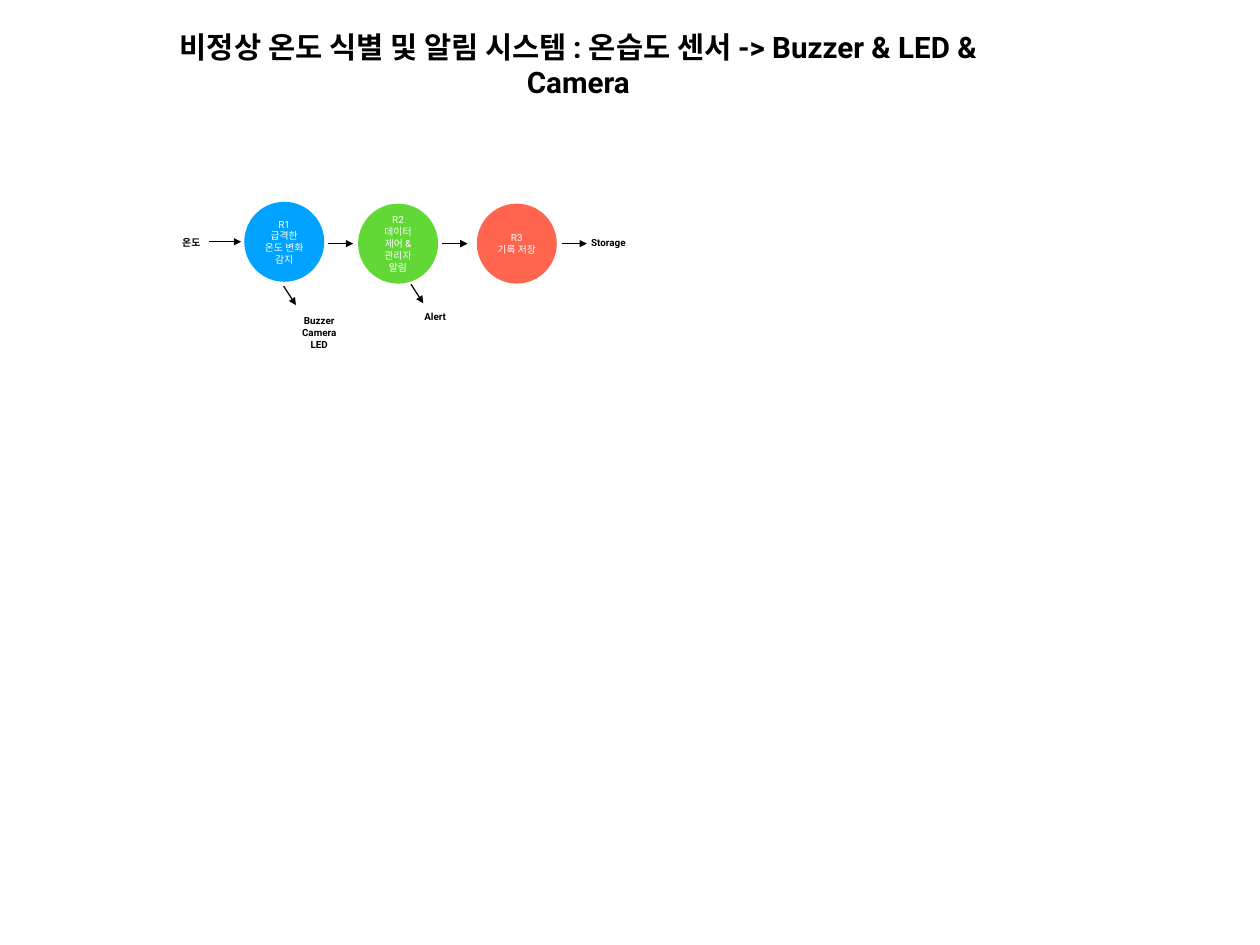
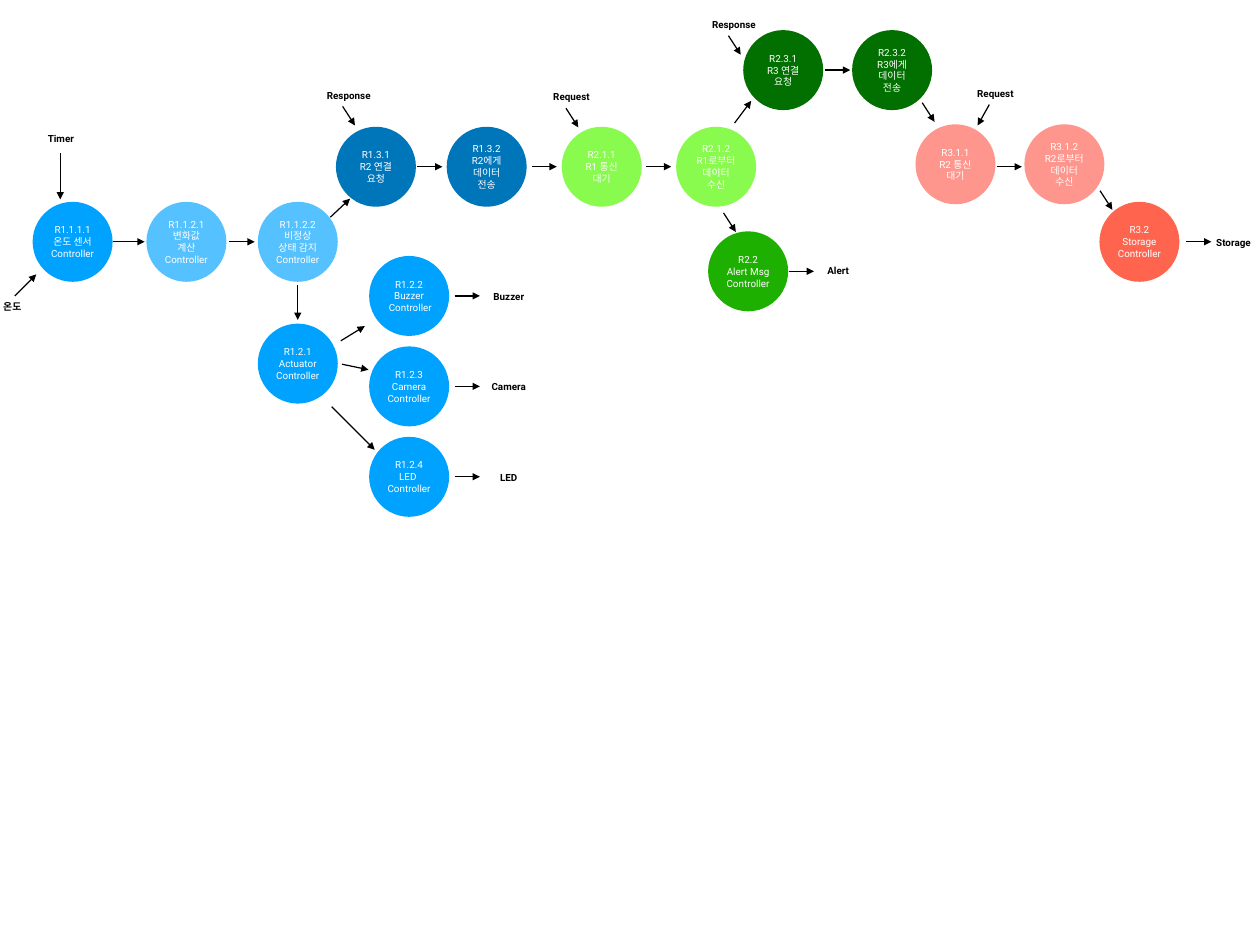
import pptx
import pptx.dml.color
import pptx.enum.shapes
import pptx.enum.text
import pptx.oxml
import pptx.oxml.ns
import pptx.util

Pt = pptx.util.Pt
RGBColor = pptx.dml.color.RGBColor
AutoSize = pptx.enum.text.MSO_AUTO_SIZE

BLACK = RGBColor(0x00, 0x00, 0x00)
WHITE = RGBColor(0xFF, 0xFF, 0xFF)
BLUE = RGBColor(0x00, 0xA2, 0xFF)
LIGHT_BLUE = RGBColor(0x56, 0xC1, 0xFF)
DARK_BLUE = RGBColor(0x00, 0x76, 0xBA)
GREEN = RGBColor(0x61, 0xD8, 0x36)
LIGHT_GREEN = RGBColor(0x89, 0xFA, 0x4E)
MID_GREEN = RGBColor(0x1E, 0xB0, 0x01)
DARK_GREEN = RGBColor(0x02, 0x70, 0x01)
RED = RGBColor(0xFF, 0x64, 0x4E)
PINK = RGBColor(0xFF, 0x96, 0x8D)

ACROSS = (20.5, 0)
DOWN = (10, 15.5)


class DiagramDeck:
    font = "Roboto"
    text_size = 8
    title_size = 24
    inset = 4
    diameter = 65
    line_height = 9.5
    title_layout = 5
    blank_layout = 6

    def __init__(self, width, height):
        self.deck = pptx.Presentation()
        self.deck.slide_width = Pt(width)
        self.deck.slide_height = Pt(height)
        self.page = None

    def add_page(self, layout):
        self.page = self.deck.slides.add_slide(self.deck.slide_layouts[layout])

    def set_text(self, box, text, size, color, bold, wrap, auto_size):
        frame = box.text_frame
        frame.text = text
        frame.word_wrap = wrap
        frame.auto_size = auto_size
        frame.vertical_anchor = pptx.enum.text.MSO_ANCHOR.MIDDLE
        frame.margin_left = frame.margin_right = Pt(self.inset)
        frame.margin_top = frame.margin_bottom = Pt(self.inset)
        for para in frame.paragraphs:
            para.alignment = pptx.enum.text.PP_ALIGN.CENTER
            for span in para.runs:
                span.font.name = self.font
                span.font.size = Pt(size)
                span.font.bold = bold
                span.font.color.rgb = color

    def title(self, text, left, top, width, height):
        box = self.page.shapes.title
        box.left, box.top = Pt(left), Pt(top)
        box.width, box.height = Pt(width), Pt(height)
        self.set_text(box, text, self.title_size, BLACK, True, True, AutoSize.NONE)

    def circle(self, text, left, top, color):
        box = self.page.shapes.add_shape(
            pptx.enum.shapes.MSO_SHAPE.OVAL,
            Pt(left), Pt(top), Pt(self.diameter), Pt(self.diameter))
        box.shadow.inherit = False
        box.fill.solid()
        box.fill.fore_color.rgb = color
        box.line.fill.background()
        self.set_text(box, text, self.text_size, WHITE, False, True, AutoSize.NONE)

    def label(self, text, left, top, width):
        height = 2 * self.inset + self.line_height * (text.count("\n") + 1)
        box = self.page.shapes.add_textbox(Pt(left), Pt(top), Pt(width), Pt(height))
        self.set_text(box, text, self.text_size, BLACK, True, False,
                      AutoSize.SHAPE_TO_FIT_TEXT)

    def arrow(self, left, top, reach=ACROSS):
        across, down = reach
        line = self.page.shapes.add_connector(
            pptx.enum.shapes.MSO_CONNECTOR.STRAIGHT,
            Pt(left), Pt(top), Pt(left + across), Pt(top + down))
        line.line.color.rgb = BLACK
        line.line.width = Pt(1)
        properties = line._element.spPr
        head = pptx.oxml.parse_xml(
            '<a:tailEnd %s type="triangle"/>' % pptx.oxml.ns.nsdecls("a"))
        properties.find(pptx.oxml.ns.qn("a:ln")).append(head)
        properties.append(pptx.oxml.parse_xml(
            "<a:effectLst %s/>" % pptx.oxml.ns.nsdecls("a")))

    def draw(self, circles, arrows, labels):
        for circle in circles:
            self.circle(*circle)
        for arrow in arrows:
            self.arrow(*arrow)
        for label in labels:
            self.label(*label)


def build_overview(diagram):
    diagram.add_page(diagram.title_layout)
    diagram.title("비정상 온도 식별 및 알림 시스템 : 온습도 센서 -> Buzzer & LED & Camera",
                  125, 16, 690, 72)
    diagram.draw(
        circles=[
            ("R1\n급격한 온도 변화 감지", 198.5, 164, BLUE),
            ("R2\n데이터 제어 &\v관리자 알림", 291, 165.5, GREEN),
            ("R3\n기록 저장", 387.5, 165.5, RED),
        ],
        arrows=[
            (170, 196.5, (26, 0)),
            (266.5, 198),
            (359.5, 198),
            (456.5, 198),
            (230.5, 232.5, DOWN),
            (334, 231, DOWN),
        ],
        labels=[
            ("온도", 144, 188, 23),
            ("Buzzer\nCamera\nLED", 239, 252, 41),
            ("Alert", 340, 248.5, 27.5),
            ("Storage", 475, 188.5, 39),
        ])


def build_detail(diagram):
    diagram.add_page(diagram.blank_layout)
    diagram.draw(
        circles=[
            ("R1.1.1.1\n온도 센서\nController", 26.5, 164, BLUE),
            ("R1.1.2.1\n변화값 계산\nController", 119, 164, LIGHT_BLUE),
            ("R1.1.2.2\n비정상 상태 감지\nController", 209.5, 164, LIGHT_BLUE),
            ("R1.2.1\nActuator Controller", 209.5, 263, BLUE),
            ("R1.3.1\nR2 연결 요청", 273, 103, DARK_BLUE),
            ("R1.3.2\nR2에게 데이터 전송", 363, 103, DARK_BLUE),
            ("R2.1.1\nR1 통신 대기", 456.5, 103, LIGHT_GREEN),
            ("R2.1.2\nR1로부터\n데이터 수신", 549.5, 103, LIGHT_GREEN),
            ("R2.2\nAlert Msg Controller", 575.5, 188, MID_GREEN),
            ("R2.3.1\nR3 연결 요청", 604, 24.5, DARK_GREEN),
            ("R2.3.2\nR3에게 데이터 전송", 692.5, 24.5, DARK_GREEN),
            ("R3.1.1\nR2 통신 대기", 744, 101, PINK),
            ("R3.1.2\nR2로부터\n데이터 수신", 832.5, 101, PINK),
            ("R3.2\nStorage Controller", 893.5, 164, RED),
        ],
        arrows=[
            (12, 240.5, (17.5, -17.5)),
            (49, 124.5, (0, 37.5)),
            (92, 196.5, (25.5, 0)),
            (186.5, 196.5),
            (242, 232, (0, 28)),
            (268.5, 176.5, (16, -15)),
            (277, 277, (19.5, -12)),
            (278, 296, (21.5, 4.5)),
            (269.5, 330.5, (35, 35)),
            (278.5, 86.5, DOWN),
            (339, 135.5),
            (432, 135.5),
            (460, 88, DOWN),
            (525, 135.5),
            (588, 173, DOWN),
            (641, 220.5),
            (597, 100, (13.5, -18)),
            (592, 29, DOWN),
            (670.5, 57),
            (749.5, 83.5, DOWN),
            (804, 85, (-9.5, 17)),
            (810, 135.5),
            (894, 155, DOWN),
            (964, 196.5),
        ],
        labels=[
            ("온도", -1.5, 240.5, 23),
            ("Timer", 34, 103.5, 31),
            ("Response", 260, 68.5, 47),
            ("Request", 444, 70, 41),
            ("Response", 573, 11, 47),
            ("Request", 788.5, 67, 41),
            ("Alert", 667.5, 211.5, 27.5),
            ("Storage", 983, 188, 39),
        ])
    actuators = [
        ("Buzzer", "R1.2.2\nBuzzer\n Controller", 35),
        ("Camera", "R1.2.3\nCamera Controller", 39),
        ("LED", "R1.2.4\nLED \nController", 25),
    ]
    for row, (device, controller, width) in enumerate(actuators):
        top = 208 + 73.5 * row
        diagram.circle(controller, 300, top, BLUE)
        diagram.arrow(369.5, top + 32.5)
        diagram.label(device, 413.5 - width / 2, top + 24, width)


diagram = DiagramDeck(1024, 768)
build_overview(diagram)
build_detail(diagram)
diagram.deck.save("out.pptx")
